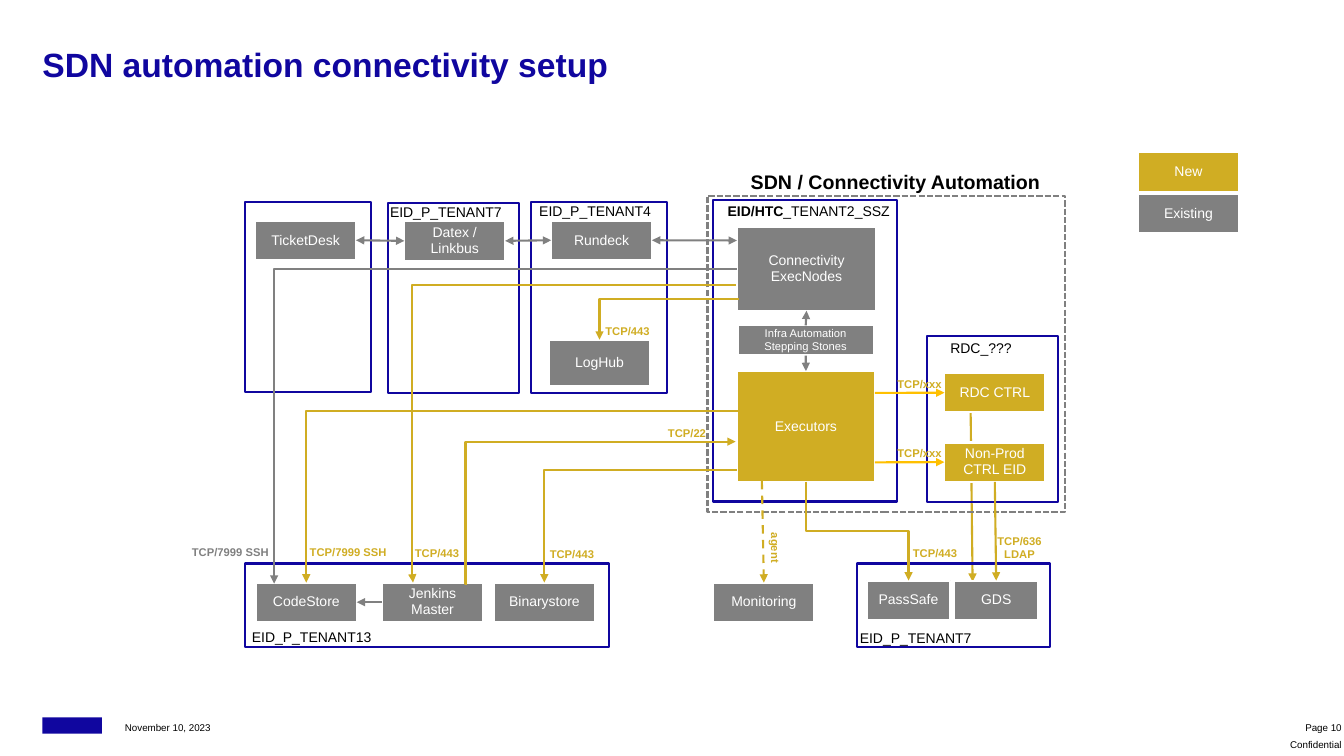
from lxml import etree
from pptx import Presentation
from pptx.dml.color import RGBColor
from pptx.enum.dml import MSO_LINE
from pptx.enum.shapes import MSO_CONNECTOR, MSO_SHAPE
from pptx.enum.text import MSO_ANCHOR, PP_ALIGN
from pptx.oxml.ns import qn
from pptx.util import Cm, Pt

RECT = MSO_SHAPE.RECTANGLE
LINE, ELBOW = MSO_CONNECTOR.STRAIGHT, MSO_CONNECTOR.ELBOW
DASH, DOTS = MSO_LINE.DASH, MSO_LINE.SQUARE_DOT
LEFT, MID, RIGHT = PP_ALIGN.LEFT, PP_ALIGN.CENTER, PP_ALIGN.RIGHT
TOP, CENTER, BASE = MSO_ANCHOR.TOP, MSO_ANCHOR.MIDDLE, MSO_ANCHOR.BOTTOM
BLUE, GOLD, AMBER = "10069F", "D0AD23", "FFC000"
GRAY, WHITE, BLACK = "808080", "FFFFFF", "000000"

deck = Presentation()
deck.slide_width, deck.slide_height = Cm(33.87), Cm(19.05)
slide = deck.slides.add_slide(deck.slide_layouts[5])
shapes = slide.shapes
boxes = {}


def write(shape, text, size, color, bold=False, align=LEFT, anchor=TOP, inset=0):
    frame = shape.text_frame
    frame.text = text
    para = frame.paragraphs[0]
    edge = {"margin_left": Cm(inset), "margin_right": Cm(inset),
            "margin_top": Cm(inset / 2), "margin_bottom": Cm(inset / 2)}
    for part, form in (
        (frame, {"word_wrap": True, "vertical_anchor": anchor, **edge}),
        (para, {"alignment": align, "line_spacing": 0.95}),
        (para.runs[0].font, {"name": "Arial", "size": Pt(size), "bold": bold}),
    ):
        for key, value in form.items():
            setattr(part, key, value)
    para.runs[0].font.color.rgb = RGBColor.from_string(color)
    return para


def link(start, end, color, ends="tail", kind=LINE, dash=None):
    """Join two ends; each is a point or a (box name, side) pair."""
    spots = [(0, 0) if p[0] in boxes else p for p in (start, end)]
    wire = shapes.add_connector(kind, *[Cm(v) for p in spots for v in p])
    for spot, join in ((start, wire.begin_connect), (end, wire.end_connect)):
        if spot[0] in boxes:
            join(boxes[spot[0]], spot[1])
    wire.line.color.rgb = RGBColor.from_string(color)
    wire.line.width = Pt(1.5)
    if dash:
        wire.line.dash_style = dash
    props = wire._element.spPr
    for name in ends.split():
        etree.SubElement(props.find(qn("a:ln")), qn(f"a:{name}End"), type="triangle")
    etree.SubElement(props, qn("a:effectLst"))
    return wire


# Title
title = shapes.title
title.left, title.top, title.width, title.height = Cm(1.07), Cm(1.19), Cm(30.18), Cm(1.04)
write(title, "SDN automation connectivity setup", 24, BLUE, True)

# Link that runs behind the controller boxes
link((24.46, 10.29), (24.51, 14.66), GOLD)

# Boxes and legend
W, H = 2.54, 0.99
for text, x, y, w, h, color, size in (
    ("Connectivity ExecNodes", 18.57, 5.72, 3.51, 2.11, GRAY, 10),
    ("Executors", 18.57, 9.35, 3.48, 2.79, GOLD, 10),
    ("Infra Automation Stepping Stones", 18.59, 8.2, 3.43, 0.76, GRAY, 8),
    ("TicketDesk", 6.43, 5.56, W, H, GRAY, 10),
    ("Datex / Linkbus", 10.19, 5.56, W, 1.02, GRAY, 10),
    ("Rundeck", 13.89, 5.56, W, H, GRAY, 10),
    ("LogHub", 13.84, 8.56, W, 1.17, GRAY, 10),
    ("CodeStore", 6.45, 14.68, W, H, GRAY, 10),
    ("Jenkins Master", 9.63, 14.68, W, H, GRAY, 10),
    ("Binarystore", 12.45, 14.68, W, H, GRAY, 10),
    ("Monitoring", 17.98, 14.68, W, H, GRAY, 10),
    ("PassSafe", 21.84, 14.63, 2.11, H, GRAY, 10),
    ("GDS", 24.05, 14.63, 2.11, H, GRAY, 10),
    ("RDC CTRL", 23.8, 9.4, W, H, GOLD, 10),
    ("Non-Prod CTRL EID", 23.8, 11.15, W, H, GOLD, 10),
    ("New", 28.68, 3.84, W, H, GOLD, 10),
    ("Existing", 28.68, 4.88, W, H, GRAY, 10),
):
    box = shapes.add_shape(RECT, Cm(x), Cm(y), Cm(w), Cm(h))
    box.shadow.inherit = False
    box.fill.solid()
    box.fill.fore_color.rgb = RGBColor.from_string(color)
    box.line.color.rgb = RGBColor.from_string(WHITE)
    box.line.width = Pt(1.5)
    write(box, text, size, WHITE, align=MID, anchor=CENTER, inset=0.25)
    boxes[text] = box

# Tenant frames and the dashed zone
for x, y, w, h, color, dash in (
    (6.17, 5.08, 3.18, 4.8, BLUE, None),
    (9.78, 5.11, 3.3, 4.8, BLUE, None),
    (13.39, 5.08, 3.43, 4.83, BLUE, None),
    (17.96, 5.05, 4.65, 7.59, BLUE, None),
    (23.37, 8.46, 3.3, 4.19, BLUE, None),
    (6.17, 14.2, 9.17, 2.11, BLUE, None),
    (21.59, 14.2, 4.88, 2.11, BLUE, None),
    (17.83, 4.93, 9.02, 7.98, GRAY, DOTS),
):
    frame = shapes.add_shape(RECT, Cm(x), Cm(y), Cm(w), Cm(h))
    frame.shadow.inherit = False
    frame.fill.background()
    frame.line.color.rgb = RGBColor.from_string(color)
    frame.line.width = Pt(1.5)
    if dash:
        frame.line.dash_style = dash

# Straight links
nodes, stones = "Connectivity ExecNodes", "Infra Automation Stepping Stones"
for start, end, color, ends, dash in (
    (("TicketDesk", 3), ("Datex / Linkbus", 1), GRAY, "head tail", None),
    (("Datex / Linkbus", 3), ("Rundeck", 1), GRAY, "head tail", None),
    (("Rundeck", 3), (18.57, 6.06), GRAY, "head tail", None),
    (("Jenkins Master", 1), ("CodeStore", 3), GRAY, "tail", None),
    ((stones, 0), (nodes, 2), GRAY, "tail", None),
    ((stones, 2), ("Executors", 0), GRAY, "tail", None),
    ((22.05, 9.9), ("RDC CTRL", 1), AMBER, "tail", None),
    ((22.05, 11.65), ("Non-Prod CTRL EID", 1), AMBER, "tail", None),
    (("Non-Prod CTRL EID", 2), ("GDS", 0), GOLD, "tail", None),
    ((19.2, 12.12), ("Monitoring", 0), GOLD, "tail", DASH),
):
    link(start, end, color, ends, dash=dash)

# Links with one corner: a bend of None means a plain two-leg elbow
for start, end, color, bend in (
    ((18.59, 10.36), ("CodeStore", 0), GOLD, None),
    ((18.57, 11.84), ("Binarystore", 0), GOLD, None),
    ((18.62, 7.54), ("LogHub", 0), GOLD, None),
    ((11.76, 14.71), (18.54, 11.13), GOLD, -400),
    ((18.54, 7.19), (10.41, 14.68), GOLD, 100200),
    ((18.57, 6.78), (6.91, 14.71), GRAY, 100050),
):
    wire = link(start, end, color, kind=ELBOW)
    geom = wire._element.spPr.find(qn("a:prstGeom"))
    if bend is None:
        geom.set("prst", "bentConnector2")
    else:
        etree.SubElement(geom.find(qn("a:avLst")), qn("a:gd"), name="adj1", fmla=f"val {bend}")

# Link that leaves downwards: a turned elbow about the same centre
wire = link(("Executors", 2), ("PassSafe", 0), GOLD, kind=ELBOW)
w, h = wire.width, wire.height
wire.left, wire.top = wire.left + (w - h) // 2, wire.top + (h - w) // 2
wire.width, wire.height = h, w
for key, value in {"rot": "16200000", "flipH": "1"}.items():
    wire._element.spPr.find(qn("a:xfrm")).set(key, value)

# Labels: tenants, ports and footer
name = {"size": 10, "color": BLACK}
port = {"size": 8, "color": GOLD, "bold": True, "align": MID}
foot = {"size": 7, "color": BLACK, "anchor": BASE}
for text, x, y, w, h, form in (
    ("SDN / Connectivity Automation", 18.92, 4.32, 7.5, 0.56, {**name, "size": 14, "bold": True}),
    ("EID_P_TENANT7", 9.83, 5.16, 3.12, 0.41, name),
    ("EID_P_TENANT4", 13.59, 5.13, 3.12, 0.41, name),
    ("EID/HTC", 18.34, 5.13, 4.29, 0.41, {**name, "bold": True}),
    ("RDC_???", 23.95, 8.59, 2.9, 0.41, name),
    ("EID_P_TENANT13", 6.35, 15.88, 3.12, 0.41, name),
    ("EID_P_TENANT7", 21.67, 15.9, 3.12, 0.41, name),
    ("TCP/443", 15.14, 8.2, 1.35, 0.33, port),
    ("TCP/22", 16.64, 10.77, 1.35, 0.33, port),
    ("TCP/xxx", 22.5, 9.53, 1.35, 0.33, port),
    ("TCP/xxx", 22.5, 11.28, 1.35, 0.33, port),
    ("TCP/7999 SSH", 4.75, 13.77, 2.11, 0.33, {**port, "color": GRAY}),
    ("TCP/7999 SSH", 7.72, 13.77, 2.11, 0.33, port),
    ("TCP/443", 10.34, 13.79, 1.35, 0.33, port),
    ("TCP/443", 13.74, 13.82, 1.35, 0.33, port),
    ("TCP/443", 22.89, 13.79, 1.35, 0.33, port),
    ("TCP/636 LDAP", 25.02, 13.49, 1.35, 0.66, port),
    ("agent", 18.85, 13.64, 1.35, 0.33, port),
    ("November 10, 2023", 3.15, 18.11, 3, 0.38, foot),
    ("Page 10", 31.75, 18.11, 2.06, 0.38, {**foot, "align": RIGHT}),
    ("Confidential", 31.93, 18.49, 1.88, 0.56, {**foot, "align": RIGHT, "anchor": CENTER}),
):
    label = shapes.add_textbox(Cm(x), Cm(y), Cm(w), Cm(h))
    para = write(label, text, **form)
    if text == "agent":
        label.rotation = 90
    if text == "EID/HTC":
        rest = para.add_run()
        rest.text = "_TENANT2_SSZ"
        rest.font.name, rest.font.size = "Arial", Pt(10)
        rest.font.color.rgb = RGBColor.from_string(BLACK)

# Footer mark
mark = shapes.add_shape(RECT, Cm(1.07), Cm(18.08), Cm(1.5), Cm(0.41))
mark.shadow.inherit = False
mark.fill.solid()
mark.fill.fore_color.rgb = RGBColor.from_string(BLUE)
mark.line.fill.background()

deck.save("out.pptx")
